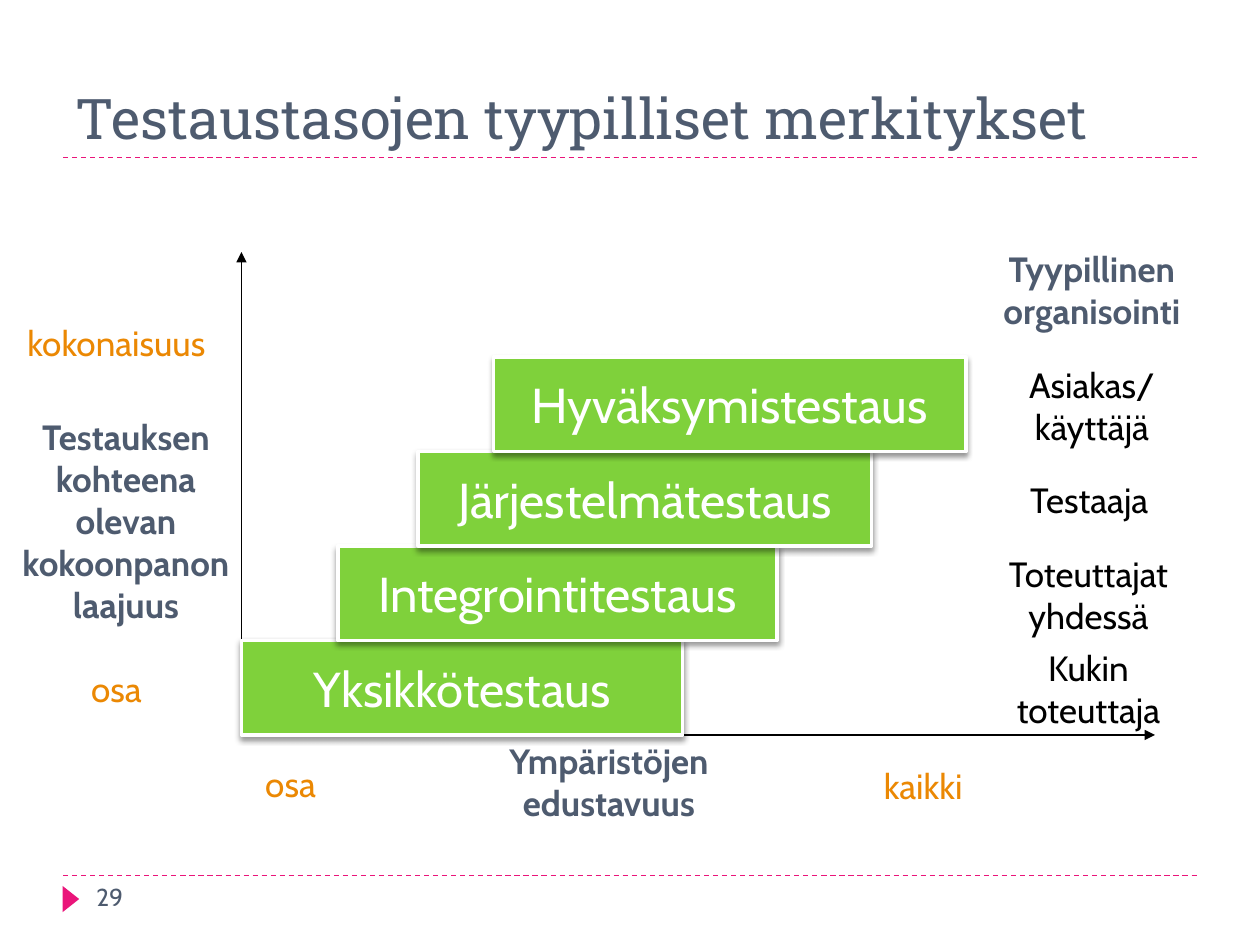
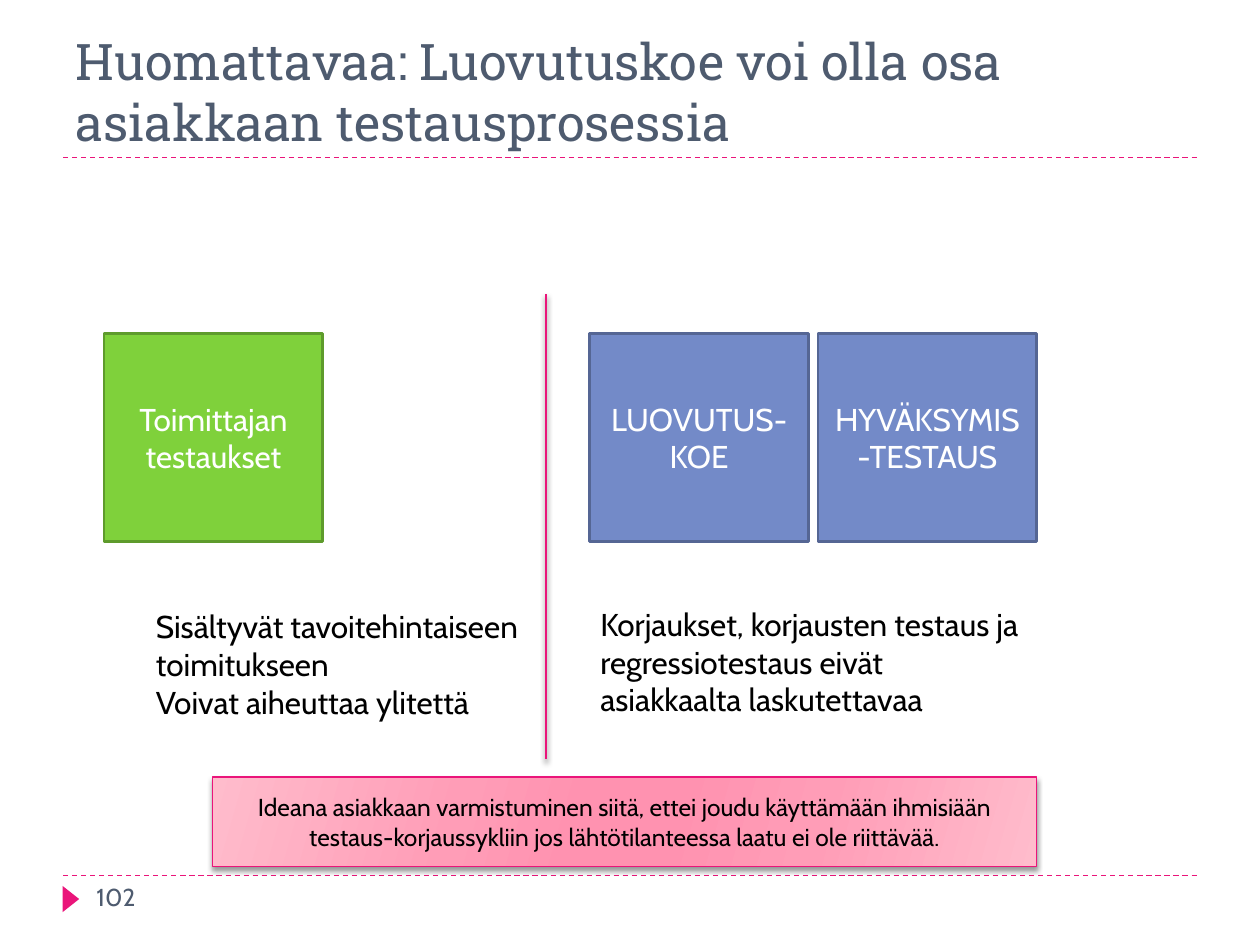
import pptx
import pptx.dml.color
import pptx.enum.dml
import pptx.enum.shapes
import pptx.enum.text
import pptx.oxml
import pptx.oxml.ns
import pptx.util

Pt = pptx.util.Pt
RGB = pptx.dml.color.RGBColor.from_string
ALIGN = pptx.enum.text.PP_ALIGN
ANCHOR = pptx.enum.text.MSO_ANCHOR
SHAPE = pptx.enum.shapes.MSO_SHAPE
STRAIGHT = pptx.enum.shapes.MSO_CONNECTOR.STRAIGHT
NAMESPACE = pptx.oxml.ns.nsdecls("a")

COLOURS = {
    "slate": "4E5B6F", "pink": "EA157A", "green": "7FD13B", "dark green": "5E9B2C",
    "blue": "738AC8", "dark blue": "556694", "orange": "EB8803",
    "black": "000000", "white": "FFFFFF",
}
TITLE_FONT = "Roboto Slab"
BODY_FONT = "Cabin"


def write_text(shape, paragraphs, size, colour, align=ALIGN.LEFT, anchor=ANCHOR.TOP,
               font=BODY_FONT, bold=False, wrap=True):
    """Fill a shape with paragraphs; a newline inside one is a line break."""
    frame = shape.text_frame
    frame.auto_size = pptx.enum.text.MSO_AUTO_SIZE.NONE
    frame.word_wrap = wrap
    frame.vertical_anchor = anchor
    for number, text in enumerate(paragraphs):
        paragraph = frame.add_paragraph() if number else frame.paragraphs[0]
        paragraph.alignment = align
        for line_number, line in enumerate(text.split("\n")):
            if line_number:
                paragraph.add_line_break()
            run = paragraph.add_run()
            run.text = line
            run.font.name = font
            run.font.size = Pt(size)
            run.font.bold = bold
            run.font.color.rgb = RGB(COLOURS[colour])


def set_outline(shape, colour, width, shadow=False):
    """Set the line of a shape or connector, and its shadow or the lack of one."""
    shape.line.color.rgb = RGB(COLOURS[colour])
    shape.line.width = Pt(width)
    outer = (f'<a:outerShdw blurRad="{Pt(3)}" dist="{Pt(2)}" dir="5400000" rotWithShape="0">'
             '<a:srgbClr val="000000"><a:alpha val="40000"/></a:srgbClr></a:outerShdw>')
    shape._element.spPr.append(pptx.oxml.parse_xml(
        f'<a:effectLst {NAMESPACE}>{outer if shadow else ""}</a:effectLst>'))


presentation = pptx.Presentation()
presentation.slide_width = Pt(720)
presentation.slide_height = Pt(540)

# Shared frame: dashed rules, marker, title and page number
headings = [
    ("Testaustasojen tyypilliset merkitykset", 32, "29"),
    ("Huomattavaa: Luovutuskoe voi olla osa asiakkaan testausprosessia", 28.8, "102"),
]
for heading, size, page_number in headings:
    slide = presentation.slides.add_slide(presentation.slide_layouts[5])
    for y in (500.4, 90):
        rule = slide.shapes.add_connector(STRAIGHT, Pt(36), Pt(y), Pt(684), Pt(y))
        set_outline(rule, "pink", 0.75)
        rule.line.dash_style = pptx.enum.dml.MSO_LINE.DASH

    marker = slide.shapes.add_shape(SHAPE.ISOSCELES_TRIANGLE, Pt(33), Pt(509), Pt(15), Pt(9.5))
    marker.rotation = 90
    marker.fill.solid()
    marker.fill.fore_color.rgb = RGB(COLOURS["pink"])
    marker.line.fill.background()
    marker.shadow.inherit = False

    title = slide.shapes.title
    title.left, title.top, title.width, title.height = Pt(36), Pt(18), Pt(648), Pt(72)
    write_text(title, [heading], size, "slate", anchor=ANCHOR.BOTTOM, font=TITLE_FONT)

    page_box = slide.shapes.add_textbox(Pt(48), Pt(500.4), Pt(156), Pt(29))
    write_text(page_box, [page_number], 14, "slate")

levels_slide, handover_slide = presentation.slides

# Slide 1: axes from a common origin
origin_x, origin_y = 138, 420
for end_x, end_y in [(origin_x, 144), (660, origin_y)]:
    axis = levels_slide.shapes.add_connector(
        STRAIGHT, Pt(origin_x), Pt(origin_y), Pt(end_x), Pt(end_y))
    set_outline(axis, "black", 0.75)
    axis.line._get_or_add_ln().append(
        pptx.oxml.parse_xml(f'<a:tailEnd {NAMESPACE} type="triangle"/>'))

# Slide 1: staircase of test levels, from the bottom up
step_height = 54
levels = [
    ("Yksikkötestaus", origin_x, 252),
    ("Integrointitestaus", 193, 251),
    ("Järjestelmätestaus", 239, 259),
    ("Hyväksymistestaus", 282, 270),
]
for number, (name, left, width) in enumerate(levels, start=1):
    step = levels_slide.shapes.add_shape(
        SHAPE.RECTANGLE, Pt(left), Pt(origin_y - number * step_height),
        Pt(width), Pt(step_height))
    step.fill.solid()
    step.fill.fore_color.rgb = RGB(COLOURS["green"])
    set_outline(step, "white", 2, shadow=True)
    write_text(step, [name], 28, "white", ALIGN.CENTER, ANCHOR.MIDDLE, wrap=False)

# Slide 1: axis headings, axis ends and organisation column
labels = [
    ("Testauksen kohteena olevan kokoonpanon laajuus", 0, 234, 144, 128, "slate", ALIGN.CENTER),
    ("osa", 14, 378, 105, 31, "orange", ALIGN.CENTER),
    ("kokonaisuus", 0, 180, 133, 31, "orange", ALIGN.CENTER),
    ("Ympäristöjen edustavuus", 276, 419, 144, 55, "slate", ALIGN.CENTER),
    ("kaikki", 498, 433.5, 105, 31, "orange", ALIGN.LEFT),
    ("osa", 144.5, 432, 105, 31, "orange", ALIGN.LEFT),
    ("Tyypillinen organisointi", 552, 138, 144, 55, "slate", ALIGN.CENTER),
    ("Asiakas/\nkäyttäjä", 540, 204, 168, 55, "black", ALIGN.CENTER),
    ("Testaaja", 570, 270, 105, 31, "black", ALIGN.CENTER),
    ("Toteuttajat yhdessä", 552, 312, 140, 55, "black", ALIGN.CENTER),
    ("Kukin toteuttaja", 552, 366, 140, 55, "black", ALIGN.CENTER),
]
for text, left, top, width, height, colour, align in labels:
    label = levels_slide.shapes.add_textbox(Pt(left), Pt(top), Pt(width), Pt(height))
    write_text(label, [text], 20, colour, align, bold=colour == "slate")

# Slide 2: test phases on both sides of the divider
phases = [
    ("Toimittajan testaukset", 59.5, "green", "dark green"),
    ("LUOVUTUS-KOE", 337, "blue", "dark blue"),
    ("HYVÄKSYMIS-TESTAUS", 467.5, "blue", "dark blue"),
]
for name, left, fill, outline in phases:
    phase = handover_slide.shapes.add_shape(
        SHAPE.RECTANGLE, Pt(left), Pt(190.5), Pt(125), Pt(119))
    phase.fill.solid()
    phase.fill.fore_color.rgb = RGB(COLOURS[fill])
    set_outline(phase, outline, 1.5)
    write_text(phase, [name], 18, "white", ALIGN.CENTER, ANCHOR.MIDDLE)

divider = handover_slide.shapes.add_connector(STRAIGHT, Pt(312), Pt(168), Pt(312), Pt(434))
set_outline(divider, "pink", 1.5, shadow=True)

# Slide 2: cost remarks below the phases
remarks = [
    (["Sisältyvät tavoitehintaiseen toimitukseen", "Voivat aiheuttaa ylitettä"], 82, 343.5),
    (["Korjaukset, korjausten testaus ja regressiotestaus eivät asiakkaalta laskutettavaa"],
     336, 342),
]
for paragraphs, left, top in remarks:
    remark = handover_slide.shapes.add_textbox(Pt(left), Pt(top), Pt(255), Pt(73))
    write_text(remark, paragraphs, 18, "black")

# Slide 2: conclusion on a pink gradient
conclusion = handover_slide.shapes.add_shape(
    SHAPE.RECTANGLE, Pt(121.5), Pt(444), Pt(471), Pt(51))
conclusion.fill.gradient()
conclusion.fill.gradient_angle = 344
gradient_stops = [(0, "FFBCCC"), (30, "FF9DB7"), (45, "FF92B0"),
                  (55, "FF92B0"), (73, "FF9DB7"), (100, "FFBCCC")]
stop_list = conclusion._element.spPr.find(".//" + pptx.oxml.ns.qn("a:gsLst"))
for old_stop in list(stop_list):
    stop_list.remove(old_stop)
for position, colour in gradient_stops:
    stop_list.append(pptx.oxml.parse_xml(
        f'<a:gs {NAMESPACE} pos="{position * 1000}"><a:srgbClr val="{colour}"/></a:gs>'))
set_outline(conclusion, "pink", 0.75, shadow=True)
write_text(conclusion, [
    "Ideana asiakkaan varmistuminen siitä, ettei joudu käyttämään ihmisiään "
    "testaus-korjaussykliin jos lähtötilanteessa laatu ei ole riittävää."],
    14, "black", ALIGN.CENTER, ANCHOR.MIDDLE)

presentation.save("out.pptx")
